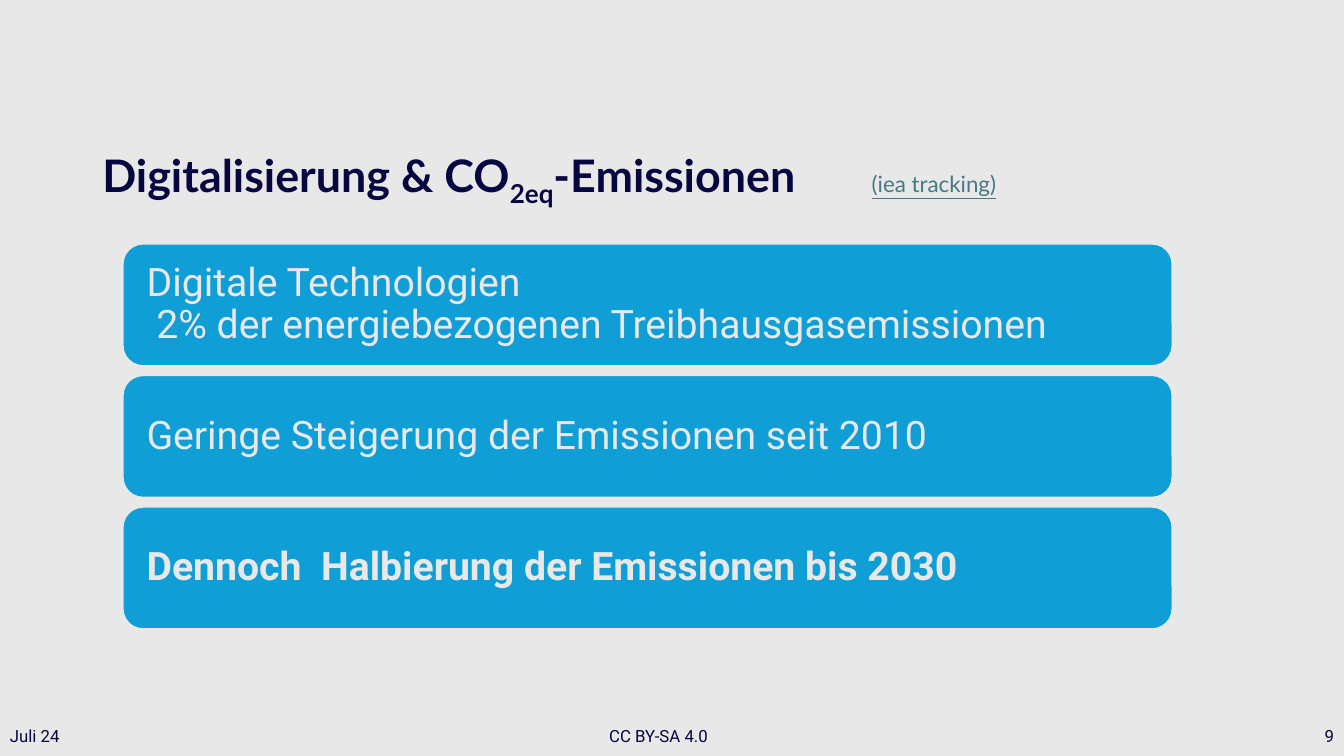
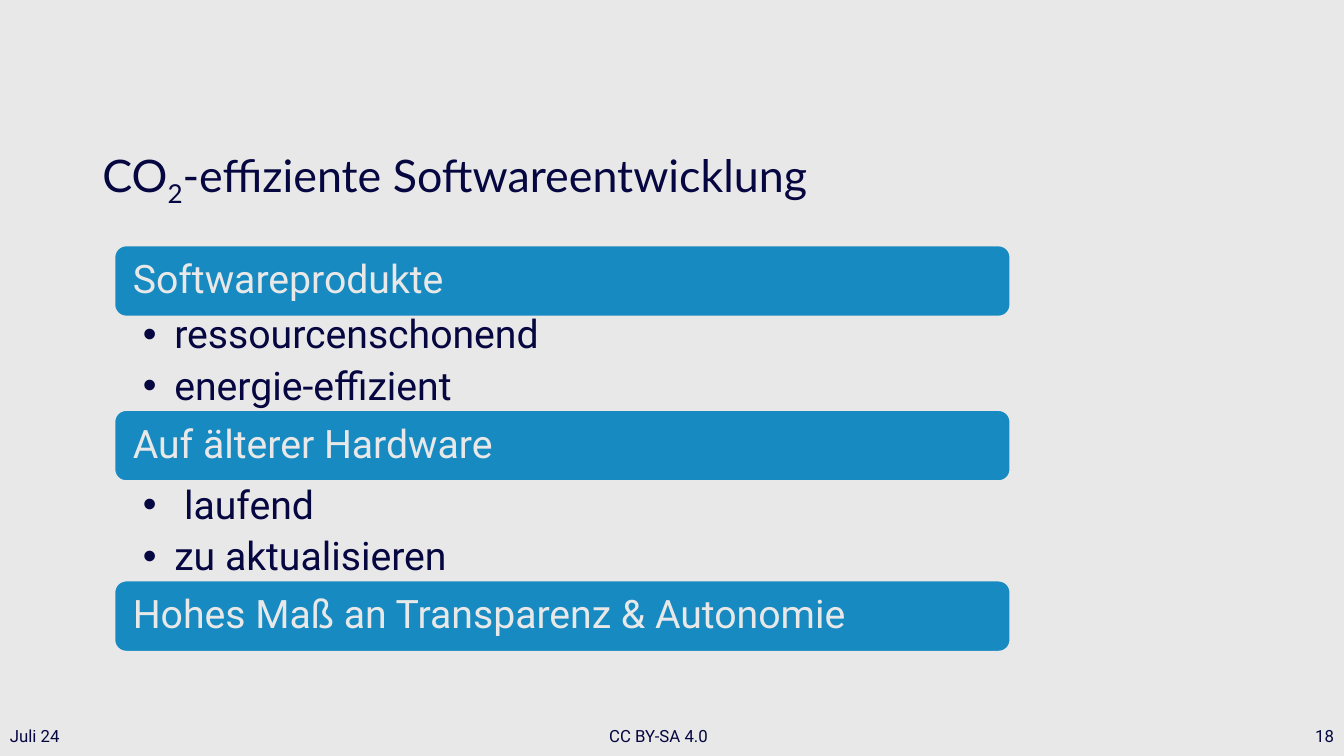
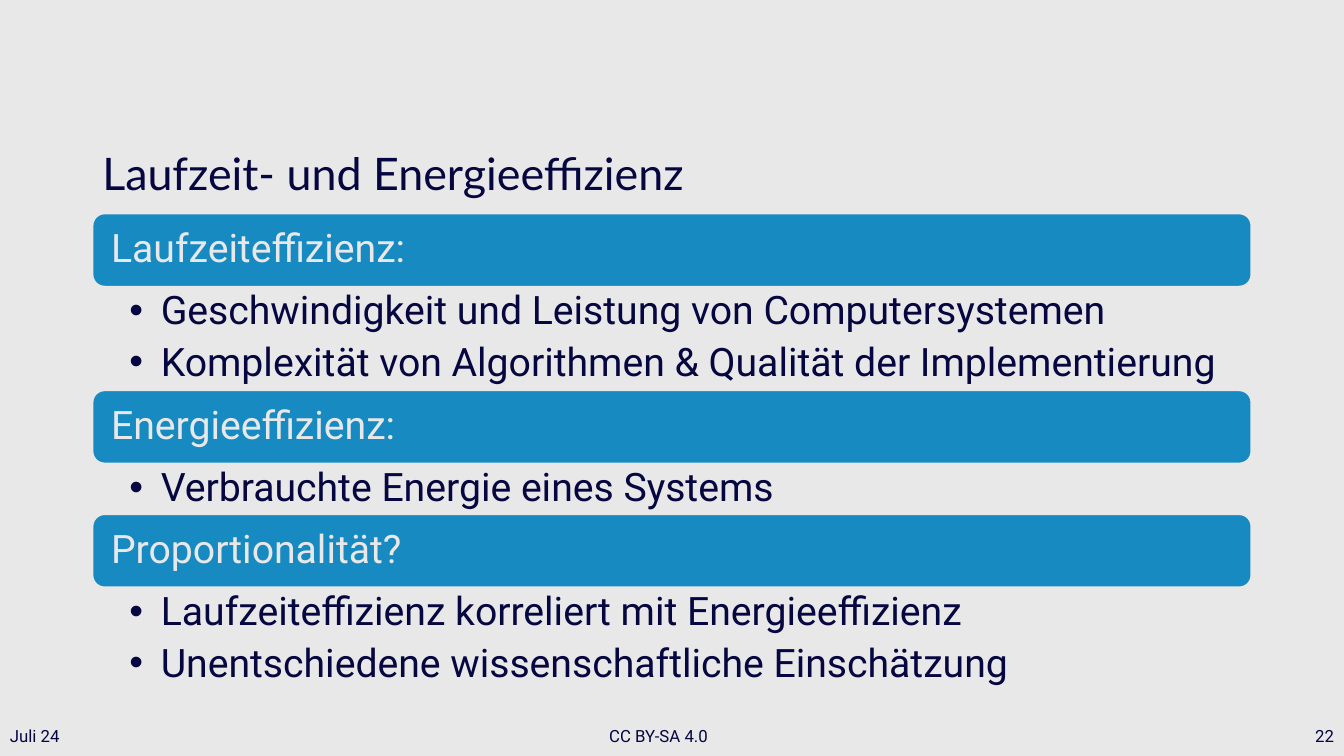
from lxml import etree
from pptx import Presentation, util as u
from pptx.dml.color import RGBColor
from pptx.enum import shapes, text
from pptx.oxml import ns

# Shared style
PAPER = RGBColor(0xE8, 0xE8, 0xE8)
NAVY = RGBColor(0x06, 0x06, 0x40)
SKY = RGBColor(0x0F, 0x9E, 0xD5)
BLUE = RGBColor(0x17, 0x8A, 0xC1)
TEAL = RGBColor(0x46, 0x78, 0x86)
HEAD_FONT, BODY_FONT = "Lato", "Roboto"
TITLE_SIZE, LINK_SIZE, BODY_SIZE, FOOT_SIZE = 32, 16, 28, 12

# Grid of square cells on a 13.33 by 7.5 inch slide
COLS, ROWS = 160, 90
CELL = u.Inches(7.5) / ROWS


def cells(count):
    return u.Emu(round(count * CELL))


class Deck:
    """Holds the style and the page being filled."""

    def __init__(self):
        self.deck = Presentation()
        self.deck.slide_width = cells(COLS)
        self.deck.slide_height = cells(ROWS)
        self.page = None

    def start(self, number):
        self.page = self.deck.slides.add_slide(self.deck.slide_layouts[6])
        fill = self.page.background.fill
        fill.solid()
        fill.fore_color.rgb = PAPER
        self.footer(number)

    def frame(self, box, insets, anchor):
        frame = box.text_frame
        frame.word_wrap = True
        frame.vertical_anchor = anchor
        (frame.margin_left, frame.margin_top,
         frame.margin_right, frame.margin_bottom) = map(cells, insets)
        return frame

    def text_box(self, place, insets=(1.2, 0.6, 1.2, 0.6),
                 anchor=text.MSO_ANCHOR.MIDDLE):
        box = self.page.shapes.add_textbox(*map(cells, place))
        return self.frame(box, insets, anchor)

    def span(self, para, words, size=BODY_SIZE, color=NAVY, font=BODY_FONT,
             bold=False, subscript=False, underline=False):
        span = para.add_run()
        span.text = words
        span.font.name, span.font.size = font, u.Pt(size)
        span.font.bold, span.font.underline = bold, underline
        span.font.color.rgb = color
        if subscript:
            span._r.get_or_add_rPr().set("baseline", "-25000")

    def title(self, *parts, bold=False, link=None):
        """Parts alternate between normal and subscript text."""
        para = self.text_box((11, 14.9, 138, 12.1)).paragraphs[0]
        para.line_spacing = 0.9
        for index, words in enumerate(parts):
            self.span(para, words, TITLE_SIZE, font=HEAD_FONT, bold=bold,
                      subscript=index % 2 == 1)
        if link:
            # The link stands at its own tab stop
            stops = etree.SubElement(para._p.get_or_add_pPr(), ns.qn("a:tabLst"))
            etree.SubElement(stops, ns.qn("a:tab"), pos=str(cells(91.6)), algn="l")
            self.span(para, "\t", TITLE_SIZE, font=HEAD_FONT)
            self.span(para, link, LINK_SIZE, TEAL, HEAD_FONT, underline=True)

    def footer(self, number):
        align = text.PP_ALIGN
        for left, width, side, words in (
                (0, 36, align.LEFT, "Juli 24"),
                (51.4, 54, align.CENTER, "CC BY-SA 4.0"),
                (COLS - 36, 36, align.RIGHT, str(number))):
            para = self.text_box((left, 85.2, width, 4.8)).paragraphs[0]
            para.alignment = side
            self.span(para, words, FOOT_SIZE)

    def card(self, place, lines, color=BLUE, inset=1.8, bold=False):
        card = self.page.shapes.add_shape(
            shapes.MSO_SHAPE.ROUNDED_RECTANGLE, *map(cells, place))
        card.shadow.inherit = False
        card.fill.solid()
        card.fill.fore_color.rgb = color
        card.line.color.rgb = PAPER
        card.line.width = u.Pt(1.5)
        frame = self.frame(card, [inset] * 4, text.MSO_ANCHOR.MIDDLE)
        para = frame.paragraphs[0]
        para.alignment = text.PP_ALIGN.LEFT
        para.line_spacing = 0.9
        for index, words in enumerate(lines):
            if index:
                para.add_line_break()
            self.span(para, words, color=PAPER, bold=bold)

    def bullets(self, place, items, indent):
        frame = self.text_box(place, (indent, 0.5, 2.6, 0.5), text.MSO_ANCHOR.TOP)
        for index, words in enumerate(items):
            para = frame.add_paragraph() if index else frame.paragraphs[0]
            para.line_spacing = 0.9
            para.space_after = u.Pt(6.5)
            props = para._p.get_or_add_pPr()
            props.set("marL", str(cells(3.75)))
            props.set("indent", str(-cells(3.75)))
            etree.SubElement(props, ns.qn("a:buFont"), typeface="Arial")
            etree.SubElement(props, ns.qn("a:buChar"), char="•")
            self.span(para, words)

    def outline(self, left, top, width, bar, indent, sections):
        """Stack bars, each followed by a list of the given height."""
        for heading, height, lift, items in sections:
            self.card((left, top, width, bar), [heading])
            top += bar - lift
            if items:
                self.bullets((left, top, width, height), items, indent)
            top += height


def main():
    deck = Deck()

    # Emissions: three equal cards
    deck.start(9)
    deck.title("Digitalisierung & CO", "2eq", "-Emissionen", bold=True,
               link="(iea tracking)")
    messages = (
        ["Digitale Technologien", " 2% der energiebezogenen Treibhausgasemissionen"],
        ["Geringe Steigerung der Emissionen seit 2010"],
        ["Dennoch  Halbierung der Emissionen bis 2030"],
    )
    for index, lines in enumerate(messages):
        deck.card((14.6, 29 + index * 15.66, 125, 14.6), lines, SKY, 2.15,
                  bold=index == len(messages) - 1)

    # Efficient software development
    deck.start(18)
    deck.title("CO", "2", "-effiziente Softwareentwicklung")
    deck.outline(13.6, 29.2, 106.7, 8.5, 3.4, (
        ("Softwareprodukte", 11.8, 0.7, ["ressourcenschonend", "energie-effizient"]),
        ("Auf älterer Hardware", 11.8, 0, [" laufend", "zu aktualisieren"]),
        ("Hohes Maß an Transparenz & Autonomie", 0, 0, []),
    ))

    # Runtime and energy efficiency
    deck.start(22)
    deck.title("Laufzeit- und Energieeffizienz")
    deck.outline(11, 25.4, 138, 8.75, 4.4, (
        ("Laufzeiteffizienz:", 12.3, 0,
         ["Geschwindigkeit und Leistung von Computersystemen",
          "Komplexität von Algorithmen & Qualität der Implementierung"]),
        ("Energieeffizienz:", 6, 0, ["Verbrauchte Energie eines Systems"]),
        ("Proportionalität?", 12.3, 0,
         ["Laufzeiteffizienz korreliert mit Energieeffizienz",
          "Unentschiedene wissenschaftliche Einschätzung"]),
    ))

    deck.deck.save("out.pptx")


if __name__ == "__main__":
    main()
